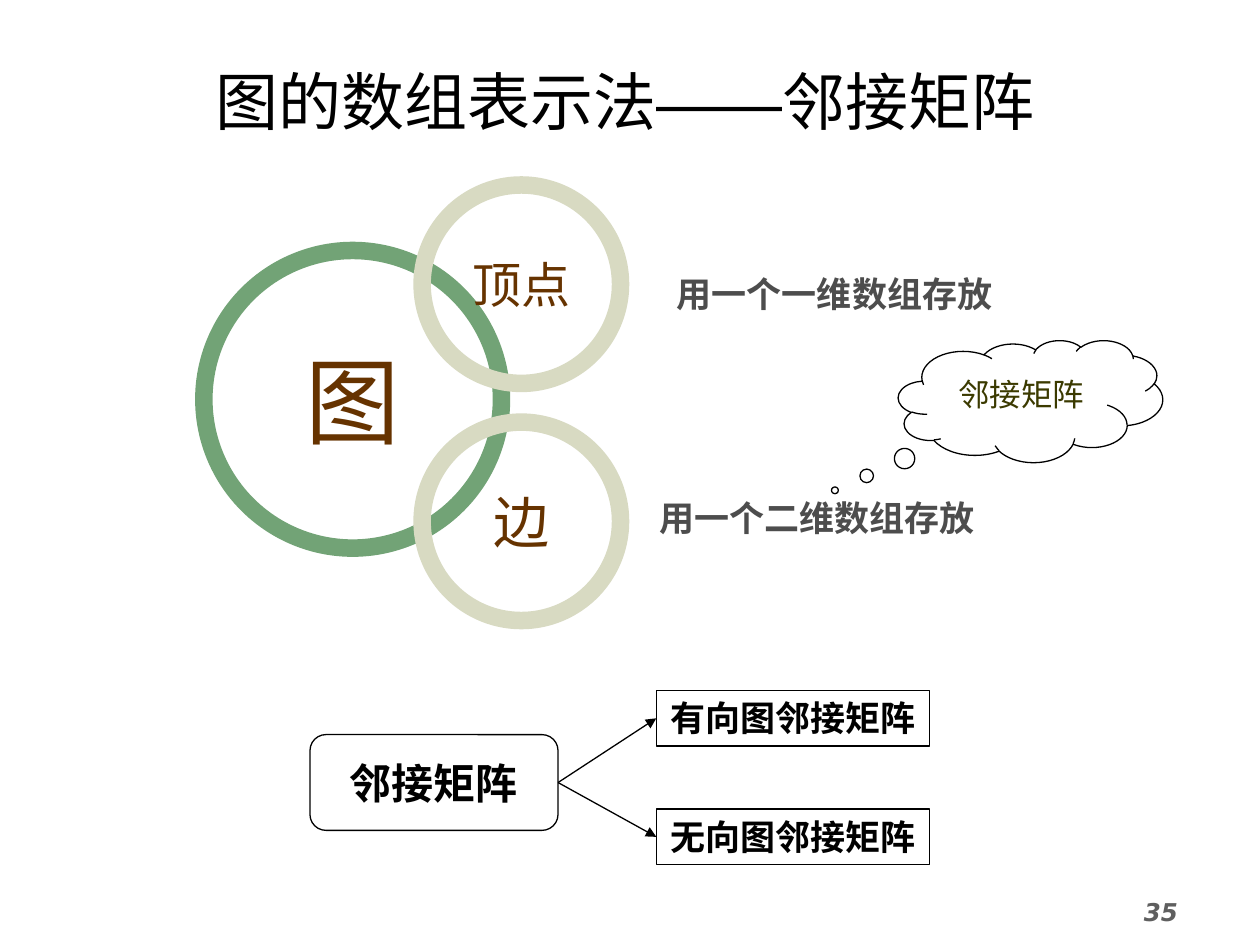
from pptx import Presentation
from pptx.dml.color import RGBColor
from pptx.enum.shapes import MSO_CONNECTOR, MSO_SHAPE
from pptx.enum.text import MSO_ANCHOR, PP_ALIGN
from pptx.oxml.ns import qn
from pptx.util import Cm, Pt
from lxml import etree

LEFT, CENTER = PP_ALIGN.LEFT, PP_ALIGN.CENTER
TOP, MIDDLE = MSO_ANCHOR.TOP, MSO_ANCHOR.MIDDLE
OVAL, CLOUD = MSO_SHAPE.OVAL, MSO_SHAPE.CLOUD_CALLOUT
RECT, ROUND = MSO_SHAPE.RECTANGLE, MSO_SHAPE.ROUNDED_RECTANGLE
STRAIGHT = MSO_CONNECTOR.STRAIGHT

BLACK = RGBColor(0x00, 0x00, 0x00)
WHITE = RGBColor(0xFF, 0xFF, 0xFF)
GREEN = RGBColor(0x72, 0xA3, 0x76)
SAND = RGBColor(0xD8, 0xDA, 0xC2)
BROWN = RGBColor(0x66, 0x33, 0x00)
OLIVE = RGBColor(0x3B, 0x3A, 0x00)
GRAY = RGBColor(0x4D, 0x4D, 0x4D)
PALE = RGBColor(0x5F, 0x5F, 0x5F)

SANS = "Noto Sans CJK SC"
HEAD = "Noto Sans CJK JP"
MONO = "Noto Sans Mono"
CODE = "Courier New"


class Board:
    """Holds the line style and the current slide."""

    thin = Pt(0.75)
    thick = Pt(10)

    def __init__(self, slide):
        self.slide = slide
        self.shapes = slide.shapes

    def style(self, run, size, color, face, bold=False, italic=False):
        font = run.font
        font.size, font.name = Pt(size), face
        font.bold, font.italic = bold, italic
        font.color.rgb = color
        east = etree.SubElement(run._r.get_or_add_rPr(), qn("a:ea"))
        east.set("typeface", face)

    def fit(self, shape, text, size, color, face, bold=False, italic=False,
            align=CENTER, anchor=MIDDLE, wrap=True, inset=True):
        frame = shape.text_frame
        frame.text = text
        frame.word_wrap = wrap
        frame.vertical_anchor = anchor
        if not inset:
            frame.margin_left = frame.margin_right = 0
            frame.margin_top = frame.margin_bottom = 0
        para = frame.paragraphs[0]
        para.alignment = align
        self.style(para.runs[0], size, color, face, bold, italic)
        return para

    def label(self, x, y, w, h, text, size, color, face, **opts):
        box = self.shapes.add_textbox(Cm(x), Cm(y), Cm(w), Cm(h))
        return self.fit(box, text, size, color, face, **opts)

    def shape(self, kind, x, y, w, h, fill, line, width):
        item = self.shapes.add_shape(kind, Cm(x), Cm(y), Cm(w), Cm(h))
        item.shadow.inherit = False
        if fill is None:
            item.fill.background()
        else:
            item.fill.solid()
            item.fill.fore_color.rgb = fill
        item.line.color.rgb = line
        item.line.width = width
        return item

    def ring(self, x, y, size, color, text, points):
        item = self.shape(OVAL, x, y, size, size, None, color, self.thick)
        self.fit(item, text, points, BROWN, CODE, inset=False)

    def cloud(self, x, y, w, h, text, tip):
        item = self.shape(CLOUD, x, y, w, h, None, BLACK, self.thin)
        item.adjustments[0], item.adjustments[1] = tip
        self.fit(item, text, 18, OLIVE, MONO).line_spacing = 0.7

    def node(self, kind, x, y, w, h, text, size, anchor):
        item = self.shape(kind, x, y, w, h, WHITE, BLACK, self.thin)
        self.fit(item, text, size, BLACK, SANS, bold=True,
                 anchor=anchor, wrap=False)
        return item

    def arrow(self, start, end):
        link = self.shapes.add_connector(STRAIGHT, 0, 0, 0, 0)
        link.begin_connect(start, 3)
        link.end_connect(end, 1)
        link.line.color.rgb = BLACK
        link.line.width = self.thin
        props = link._element.spPr
        tail = etree.SubElement(props.find(qn("a:ln")), qn("a:tailEnd"))
        tail.set("type", "triangle")
        etree.SubElement(props, qn("a:effectLst"))


def main():
    deck = Presentation()
    deck.slide_width, deck.slide_height = Cm(25.4), Cm(19.05)
    board = Board(deck.slides.add_slide(deck.slide_layouts[6]))

    # Page number and title
    board.label(22.81, 17.96, 2.59, 1.09, "35", 14, PALE, "DejaVu Sans",
                bold=True, italic=True, align=LEFT, anchor=TOP)
    title = board.label(3.91, 0.36, 17.37, 3.33, "图的数组表示法",
                        36, BLACK, HEAD)
    for text, face in (("——", "Arial"), ("邻接矩阵", HEAD)):
        run = title.add_run()
        run.text = text
        board.style(run, 36, BLACK, face)

    # A graph and its two parts, each with its storage
    board.ring(4.11, 5.05, 6, GREEN, "图", 54)
    parts = (("边", 32, 8.51, "用一个二维数组存放", 12.4, 9.73),
             ("顶点", 28, 3.73, "用一个一维数组存放", 12.75, 5.21))
    for name, size, top, note, x, y in parts:
        board.ring(8.51, top, 4, SAND, name, size)
        board.label(x, y, 8.15, 1.42, note, 20, GRAY, SANS,
                    bold=True, inset=False)
    board.cloud(18.11, 6.86, 5.33, 2.46, "邻接矩阵", (-0.74, 0.73))

    # Kinds of adjacency matrix
    root = board.node(ROUND, 6.25, 14.81, 5, 1.93, "邻接矩阵", 24, MIDDLE)
    for y, text in ((13.92, "有向图邻接矩阵"), (16.31, "无向图邻接矩阵")):
        leaf = board.node(RECT, 13.23, y, 5.51, 1.12, text, 20, TOP)
        board.arrow(root, leaf)

    deck.save("out.pptx")


if __name__ == "__main__":
    main()
